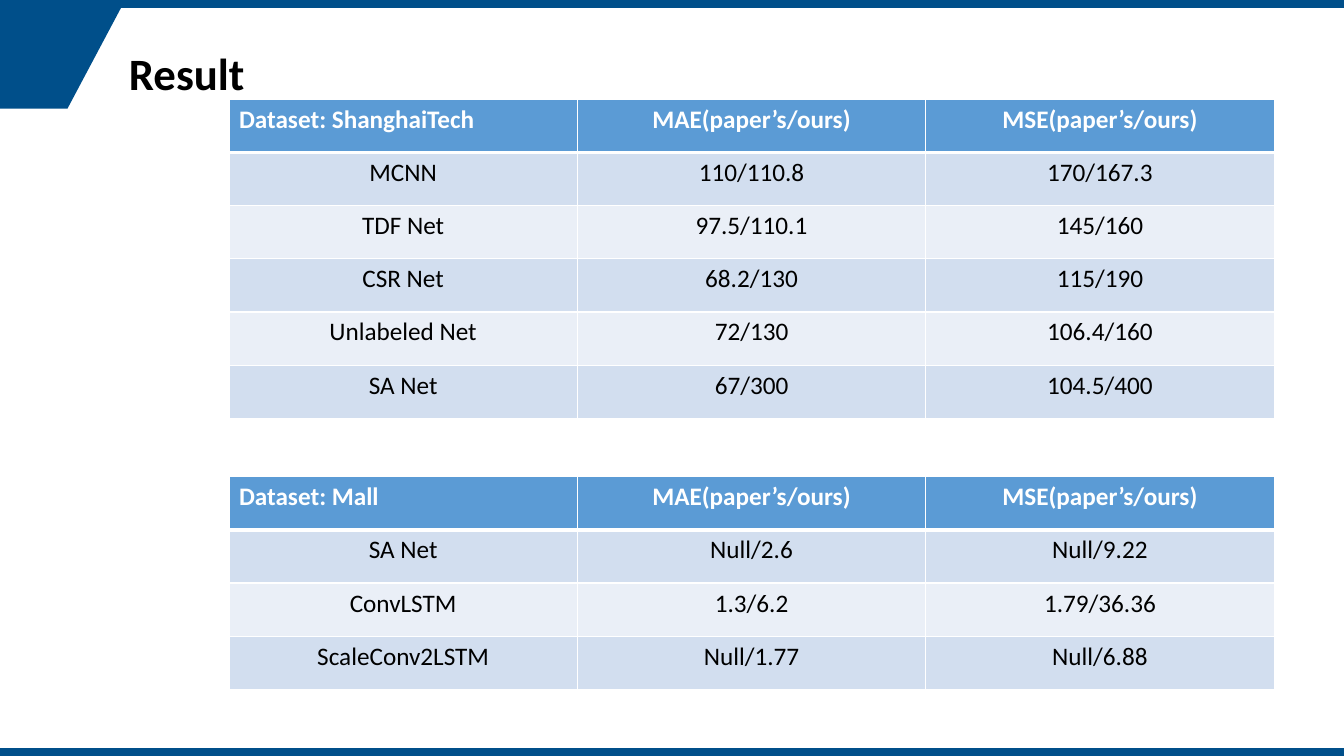
from dataclasses import dataclass

from lxml import etree
from pptx import Presentation
from pptx.dml.color import RGBColor
from pptx.enum.shapes import MSO_SHAPE
from pptx.enum.text import MSO_AUTO_SIZE, PP_ALIGN
from pptx.oxml.ns import qn
from pptx.shapes.base import BaseShape
from pptx.slide import Slide
from pptx.table import _Cell
from pptx.text.text import _Paragraph
from pptx.util import Cm, Pt

RECTANGLE = MSO_SHAPE.RECTANGLE
LEFT, CENTER = PP_ALIGN.LEFT, PP_ALIGN.CENTER
FIT_SHAPE = MSO_AUTO_SIZE.SHAPE_TO_FIT_TEXT


@dataclass(frozen=True)
class Theme:
    font: str = "Calibri"
    brand: str = "004F8A"
    header: str = "5B9BD5"
    bands: tuple[str, str] = ("D2DEEF", "EAEFF7")
    dark: str = "000000"
    light: str = "FFFFFF"
    title_size: int = 32
    table_size: int = 18
    thin_line: int = 1
    thick_line: int = 3


@dataclass(frozen=True)
class ResultTable:
    dataset: str
    top: float
    results: tuple[tuple[str, str, str], ...]


THEME = Theme()

# Page layout in centimetres
PAGE_WIDTH, PAGE_HEIGHT = 33.87, 19.05
BAR_HEIGHT = 0.2
CORNER = ((0, 0.2), (3.05, 0.2), (1.7, 2.74), (0, 2.74))
TABLE_LEFT, COLUMN_WIDTH, ROW_HEIGHT = 5.77, 8.78, 1.34

METRICS = ("MAE(paper’s/ours)", "MSE(paper’s/ours)")
RESULT_TABLES = (
    ResultTable("ShanghaiTech", 2.5, (
        ("MCNN", "110/110.8", "170/167.3"),
        ("TDF Net", "97.5/110.1", "145/160"),
        ("CSR Net", "68.2/130", "115/190"),
        ("Unlabeled Net", "72/130", "106.4/160"),
        ("SA Net", "67/300", "104.5/400"),
    )),
    ResultTable("Mall", 12.01, (
        ("SA Net", "Null/2.6", "Null/9.22"),
        ("ConvLSTM", "1.3/6.2", "1.79/36.36"),
        ("ScaleConv2LSTM", "Null/1.77", "Null/6.88"),
    )),
)


def paint(shape: BaseShape) -> None:
    """Give a decoration its flat brand fill."""
    shape.shadow.inherit = False
    shape.fill.solid()
    shape.fill.fore_color.rgb = RGBColor.from_string(THEME.brand)
    shape.line.fill.background()


def add_span(para: _Paragraph, text: str, size: int, color: str, bold: bool) -> None:
    span = para.add_run()
    span.text = text
    span.font.name = THEME.font
    span.font.size = Pt(size)
    span.font.bold = bold
    span.font.color.rgb = RGBColor.from_string(color)


def add_decoration(page: Slide) -> None:
    for top in (0, PAGE_HEIGHT - BAR_HEIGHT):
        paint(page.shapes.add_shape(
            RECTANGLE, 0, Cm(top), Cm(PAGE_WIDTH), Cm(BAR_HEIGHT)))
    start, *others = [(Cm(x), Cm(y)) for x, y in CORNER]
    builder = page.shapes.build_freeform(*start)
    builder.add_line_segments(others, close=True)
    paint(builder.convert_to_shape())


def add_title(page: Slide, text: str) -> None:
    box = page.shapes.add_textbox(Cm(3), Cm(1.04), Cm(21.92), Cm(1.63))
    box.text_frame.word_wrap = True
    box.text_frame.auto_size = FIT_SHAPE
    add_span(box.text_frame.paragraphs[0], text, THEME.title_size, THEME.dark, True)


def set_borders(cell: _Cell, top: int, bottom: int) -> None:
    """Draw the cell borders; line elements must precede the fill."""
    properties = cell._tc.get_or_add_tcPr()
    widths = {"lnL": THEME.thin_line, "lnR": THEME.thin_line,
              "lnT": top, "lnB": bottom}
    for position, (side, width) in enumerate(widths.items()):
        line = etree.Element(qn(f"a:{side}"), w=str(Pt(width)))
        fill = etree.SubElement(line, qn("a:solidFill"))
        etree.SubElement(fill, qn("a:srgbClr"), val=THEME.light)
        properties.insert(position, line)


def add_result_table(page: Slide, spec_table: ResultTable) -> None:
    rows = ((f"Dataset: {spec_table.dataset}", *METRICS), *spec_table.results)
    columns = len(rows[0])
    grid = page.shapes.add_table(
        len(rows), columns, Cm(TABLE_LEFT), Cm(spec_table.top),
        Cm(COLUMN_WIDTH * columns), Cm(ROW_HEIGHT * len(rows))).table
    for column in grid.columns:
        column.width = Cm(COLUMN_WIDTH)
    for r, texts in enumerate(rows):
        grid.rows[r].height = Cm(ROW_HEIGHT)
        is_header = r == 0
        fill = THEME.header if is_header else THEME.bands[(r - 1) % 2]
        color = THEME.light if is_header else THEME.dark
        top = THEME.thick_line if r == 1 else THEME.thin_line
        bottom = THEME.thick_line if is_header else THEME.thin_line
        for c, text in enumerate(texts):
            cell = grid.cell(r, c)
            cell.fill.solid()
            cell.fill.fore_color.rgb = RGBColor.from_string(fill)
            set_borders(cell, top, bottom)
            para = cell.text_frame.paragraphs[0]
            para.alignment = LEFT if is_header and c == 0 else CENTER
            add_span(para, text, THEME.table_size, color, is_header)


def main() -> None:
    deck = Presentation()
    deck.slide_width, deck.slide_height = Cm(PAGE_WIDTH), Cm(PAGE_HEIGHT)
    page = deck.slides.add_slide(deck.slide_layouts[6])

    # Bars and corner
    add_decoration(page)

    # Title and results
    add_title(page, "Result")
    for result_table in RESULT_TABLES:
        add_result_table(page, result_table)

    deck.save("out.pptx")


if __name__ == "__main__":
    main()
